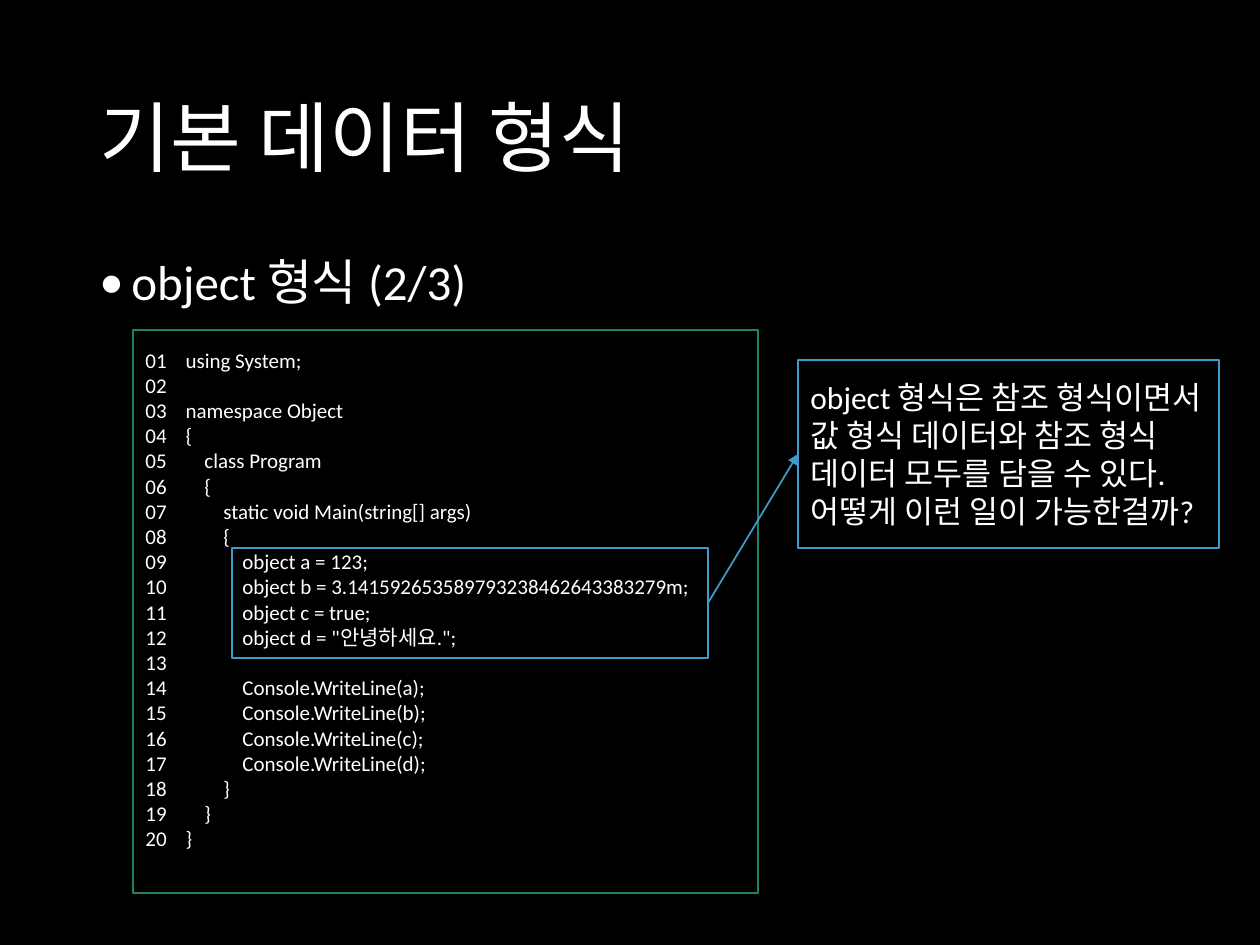
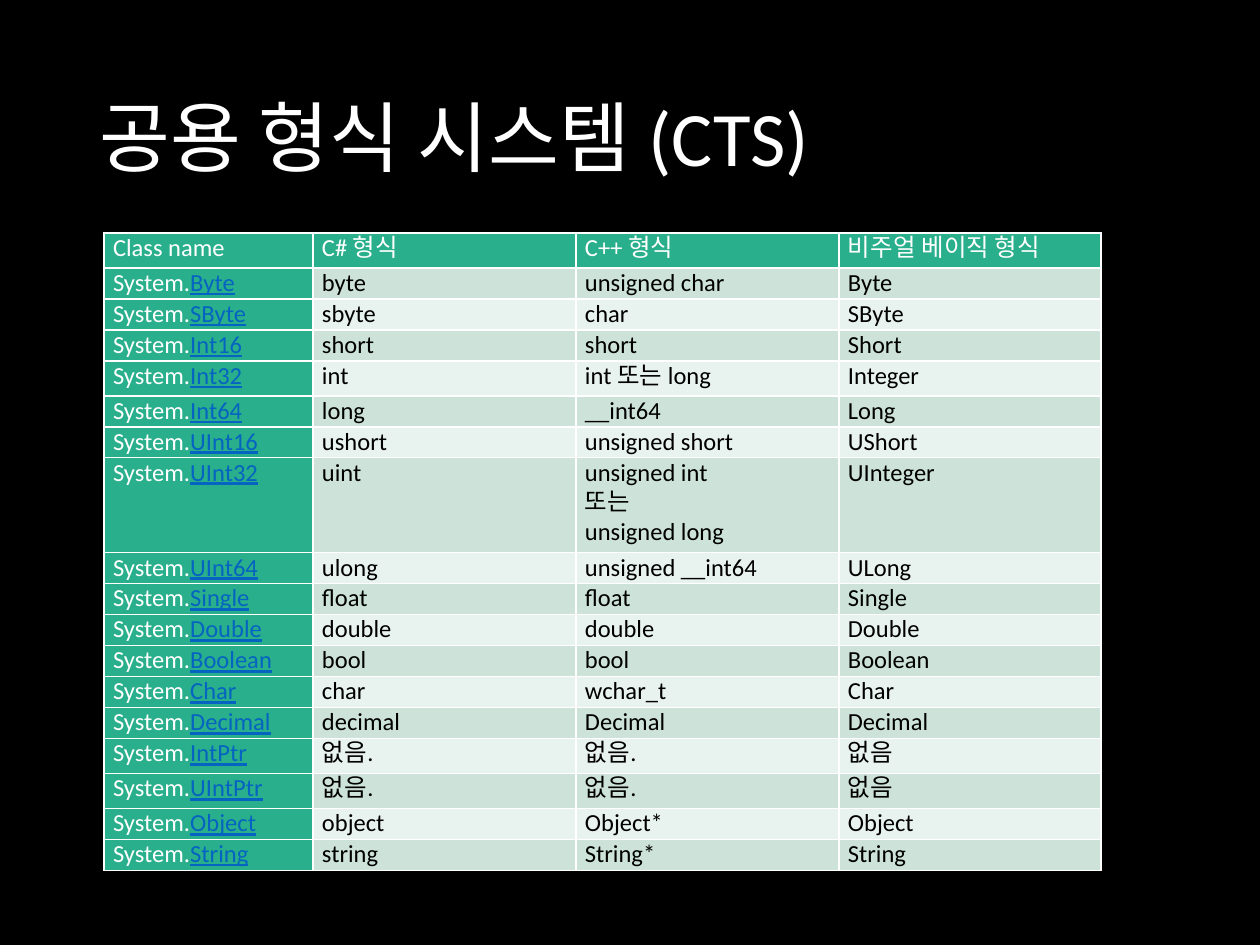
import pptx
import pptx.util
import pptx.dml.color
import pptx.enum.shapes
import pptx.enum.text
import pptx.oxml
import pptx.oxml.ns
from lxml import etree
from dataclasses import dataclass

# Content
CODE = """using System;

namespace Object
{
    class Program
    {
        static void Main(string[] args)
        {
            object a = 123;
            object b = 3.141592653589793238462643383279m;
            object c = true;
            object d = "안녕하세요.";

            Console.WriteLine(a);
            Console.WriteLine(b);
            Console.WriteLine(c);
            Console.WriteLine(d);
        }
    }
}"""
NOTE = ("object 형식은 참조 형식이면서 값 형식 데이터와 참조 형식 데이터 모두를 "
        "담을 수 있다. 어떻게 이런 일이 가능한걸까?")
HEADS = ("Class name", "C# 형식", "C++ 형식", "비주얼 베이직 형식")
TYPES = [
    ("Byte", "byte", "unsigned char", "Byte"),
    ("SByte", "sbyte", "char", "SByte"),
    ("Int16", "short", "short", "Short"),
    ("Int32", "int", "int 또는 long", "Integer"),
    ("Int64", "long", "__int64", "Long"),
    ("UInt16", "ushort", "unsigned short", "UShort"),
    ("UInt32", "uint", "unsigned int\n또는\nunsigned long", "UInteger"),
    ("UInt64", "ulong", "unsigned __int64", "ULong"),
    ("Single", "float", "float", "Single"),
    ("Double", "double", "double", "Double"),
    ("Boolean", "bool", "bool", "Boolean"),
    ("Char", "char", "wchar_t", "Char"),
    ("Decimal", "decimal", "Decimal", "Decimal"),
    ("IntPtr", "없음.", "없음.", "없음"),
    ("UIntPtr", "없음.", "없음.", "없음"),
    ("Object", "object", "Object*", "Object"),
    ("String", "string", "String*", "String"),
]


# Theme
@dataclass(frozen=True)
class Theme:
    font: str = "Calibri"
    back: str = "000000"
    text: str = "FFFFFF"
    dark: str = "000000"
    frame: str = "1E8168"
    mark: str = "3D9CCC"
    head: str = "29AF8C"
    bands: tuple = ("CDE3DA", "E8F2EE")
    link: str = "0563C1"
    title: int = 44
    body: int = 28
    note: int = 18
    cell: int = 14
    code: int = 12


T = Theme()
ANCHOR = pptx.enum.text.MSO_ANCHOR
ALIGN = pptx.enum.text.PP_ALIGN
RECT = pptx.enum.shapes.MSO_SHAPE.RECTANGLE
LINE = pptx.enum.shapes.MSO_CONNECTOR.STRAIGHT


def px(n):
    return round(n * 914400 / 126)


def rgb(hue):
    return pptx.dml.color.RGBColor.from_string(hue)


def child(node, tag, **attrs):
    return etree.SubElement(node, pptx.oxml.ns.qn(tag), attrs)


# Shared helpers
def write(frame, text, size, hue, align=ALIGN.LEFT):
    frame.text = text
    frame.word_wrap = True
    for para in frame.paragraphs:
        para.alignment = align
        para.font.name = T.font
        para.font.size = pptx.util.Pt(size)
        para.font.color.rgb = rgb(hue)
        # Korean letters and the spaces between them
        child(para._p.pPr.defRPr, "a:ea", typeface=T.font)


def add_text(slide, box, text, size, anchor):
    frame = slide.shapes.add_textbox(*map(px, box)).text_frame
    write(frame, text, size, T.text)
    frame.vertical_anchor = anchor
    frame.paragraphs[0].line_spacing = 0.9
    return frame.paragraphs[0]


def add_bullet(para, indent):
    props = para._p.get_or_add_pPr()
    props.set("marL", str(px(indent)))
    props.set("indent", str(-px(indent)))
    for tag in (f'buFont %s typeface="{T.font}"', 'buChar %s char="•"'):
        node = pptx.oxml.parse_xml(f"<a:{tag}/>" % pptx.oxml.ns.nsdecls("a"))
        props.insert_element_before(node, "a:tabLst", "a:defRPr", "a:extLst")


def add_slide(deck, title):
    slide = deck.slides.add_slide(deck.slide_layouts[6])
    slide.background.fill.solid()
    slide.background.fill.fore_color.rgb = rgb(T.back)
    add_text(slide, (87, 50, 1086, 183), title, T.title, ANCHOR.MIDDLE)
    return slide


def add_box(slide, box, line, fill=None):
    shape = slide.shapes.add_shape(RECT, *map(px, box))
    shape.shadow.inherit = False
    if fill:
        shape.fill.solid()
        shape.fill.fore_color.rgb = rgb(fill)
    else:
        shape.fill.background()
    shape.line.color.rgb = rgb(line)
    shape.line.width = pptx.util.Pt(1)
    shape.text_frame.vertical_anchor = ANCHOR.MIDDLE
    return shape


def add_arrow(slide, start, end):
    arrow = slide.shapes.add_connector(LINE, 0, 0, 0, 0)
    arrow.begin_connect(start, 3)
    arrow.end_connect(end, 1)
    arrow.line.color.rgb = rgb(T.mark)
    arrow.line.width = pptx.util.Pt(1)
    child(arrow.line._get_or_add_ln(), "a:tailEnd", type="triangle")
    child(arrow._element.spPr, "a:effectLst")


def fill_cell(cell, text, hue, fill):
    write(cell.text_frame, text, T.cell, hue, ALIGN.JUSTIFY)
    cell.margin_left = cell.margin_right = px(9)
    cell.margin_top = cell.margin_bottom = 0
    for side in "LRTB":
        line = child(cell._tc.get_or_add_tcPr(), "a:ln" + side, w="12700")
        child(child(line, "a:solidFill"), "a:srgbClr", val=T.text)
    cell.fill.solid()
    cell.fill.fore_color.rgb = rgb(fill)


# Slide 1: code listing with a remark
def code_slide(deck):
    slide = add_slide(deck, "기본 데이터 형식")
    point = add_text(slide, (87, 252, 1086, 600), "object 형식 (2/3)", T.body, ANCHOR.TOP)
    point.space_before = pptx.util.Pt(10)
    add_bullet(point, 32)

    listing = add_box(slide, (133, 330, 625, 563), T.frame, T.back)
    lines = [f"{n:02}    {line}".rstrip() for n, line in enumerate(CODE.split("\n"), 1)]
    write(listing.text_frame, "\n".join(lines), T.code, T.text)
    listing.text_frame.margin_bottom = px(31)

    marked = add_box(slide, (232, 548, 476, 110), T.mark)
    remark = add_box(slide, (798, 360, 421, 188), T.mark)
    add_arrow(slide, marked, remark)
    write(remark.text_frame, NOTE, T.note, T.text)


# Slide 2: table of type names
def row_height(row):
    text = "".join(row)
    if "\n" in text:
        return 95
    return 31 if text.isascii() else 35


def type_slide(deck):
    slide = add_slide(deck, "공용 형식 시스템 (CTS)")
    widths = (209, 263, 263, 262)
    heights = [row_height(row) for row in (HEADS, *TYPES)]
    size = (104, 233, sum(widths), sum(heights))
    table = slide.shapes.add_table(len(heights), len(widths), *map(px, size)).table
    table.first_row = table.horz_banding = False
    for col, width in zip(table.columns, widths):
        col.width = px(width)
    for row, height in zip(table.rows, heights):
        row.height = px(height)

    for c, head in enumerate(HEADS):
        fill_cell(table.cell(0, c), head, T.text, T.head)
    for r, (name, *terms) in enumerate(TYPES, 1):
        first = table.cell(r, 0)
        fill_cell(first, "System.", T.text, T.head)
        run = first.text_frame.paragraphs[0].add_run()
        run.text = name
        run.font.underline = True
        run.font.color.rgb = rgb(T.link)
        for c, term in enumerate(terms, 1):
            fill_cell(table.cell(r, c), term, T.dark, T.bands[(r - 1) % 2])


def main():
    deck = pptx.Presentation()
    deck.slide_width, deck.slide_height = px(1260), px(945)
    code_slide(deck)
    type_slide(deck)
    deck.save("out.pptx")


if __name__ == "__main__":
    main()
